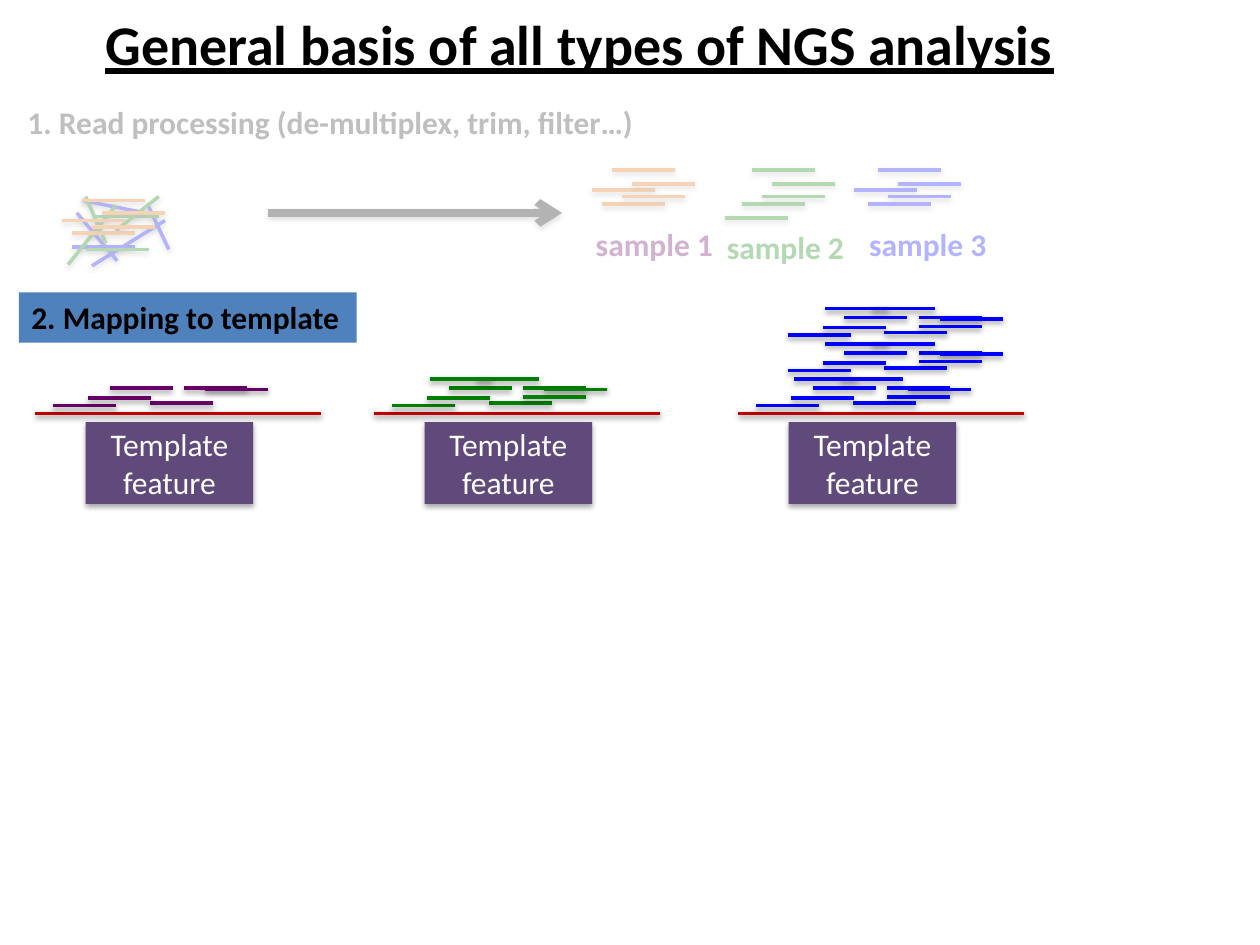
from typing import NamedTuple

from lxml.etree import SubElement
from pptx import Presentation
from pptx.dml.color import RGBColor
from pptx.enum.shapes import MSO_CONNECTOR, MSO_SHAPE
from pptx.enum.text import MSO_ANCHOR, PP_ALIGN
from pptx.oxml.ns import qn
from pptx.util import Inches, Pt

COLORS = {
    "black": "000000", "white": "FFFFFF", "grey": "BFBFBF",
    "orange": "E46C0A", "purple": "660066", "green": "008000",
    "blue": "0000FF", "red": "BE0204", "feature": "604A7B", "heading": "4F81BD",
}
FONT = "Calibri"
READ_LENGTH = 0.5
TEMPLATE_LENGTH = 2.27
TEMPLATE_TOP = 3.28


class Sample(NamedTuple):
    label: str
    label_at: tuple[float, float]
    label_color: str
    read_color: str
    outer_read: tuple[float, float]
    cluster_left: float


class Template(NamedTuple):
    left: float
    color: str
    reads: int
    stacks: int


class Tangle(NamedTuple):
    color: str
    lines: list[tuple[float, float, float, float]]


SAMPLES = [
    Sample("sample 3", (6.8, 1.74), "blue", "blue", (6.78, 1.51), 6.89),
    Sample("sample 2", (5.67, 1.76), "green", "green", (5.75, 1.73), 5.89),
    Sample("sample 1", (4.63, 1.74), "purple", "orange", (4.7, 1.51), 4.78),
]
# Offset from the cluster's left edge, height on the slide
CLUSTER_READS = [(0, 1.62), (0.16, 1.56), (0.08, 1.35), (0.24, 1.46)]

TEMPLATES = [
    Template(0.28, "purple", 6, 1),
    Template(2.97, "green", 9, 1),
    Template(5.86, "blue", 9, 3),
]
# Offset from the template's left end, height above the template
MAPPED_READS = [
    (0.91, 0.08), (0.14, 0.06), (0.42, 0.12), (1.18, 0.2), (0.59, 0.2),
    (1.35, 0.19), (1.18, 0.13), (0.81, 0.27), (0.44, 0.27),
]
STACK_SHIFT = 0.25
STACK_STEP = 0.28

TANGLES = [
    Tangle("blue", [
        (1.17, 1.62, 1.34, 1.98), (0.57, 1.96, 1.07, 1.96), (0.73, 2.11, 1.31, 1.75),
        (0.65, 1.59, 1.15, 1.69), (0.61, 1.69, 0.93, 2.07)]),
    Tangle("green", [
        (0.54, 2.1, 0.92, 1.63), (0.68, 1.98, 1.18, 1.98), (0.84, 1.93, 0.68, 1.56),
        (0.76, 1.72, 1.26, 1.72), (0.92, 1.83, 1.26, 1.56)]),
    Tangle("orange", [
        (left, top, left + READ_LENGTH, top) for left, top in
        [(0.49, 1.75), (0.57, 1.85), (0.73, 1.8), (0.65, 1.59), (0.81, 1.69)]]),
]


def rgb(name: str) -> RGBColor:
    return RGBColor.from_string(COLORS[name])


def add_shadow(effects, distance: int, opacity: int) -> None:
    shadow = SubElement(effects, qn("a:outerShdw"), blurRad="40000", dist=str(distance),
                        dir="5400000", rotWithShape="0")
    color = SubElement(shadow, qn("a:srgbClr"), val=COLORS["black"])
    SubElement(color, qn("a:alpha"), val=str(opacity * 1000))


def add_line(slide, x1: float, y1: float, x2: float, y2: float, color: str,
             width: float = 2, arrow: bool = False) -> None:
    line = slide.shapes.add_connector(
        MSO_CONNECTOR.STRAIGHT, Inches(x1), Inches(y1), Inches(x2), Inches(y2))
    line.line.color.rgb = rgb(color)
    line.line.width = Pt(width)
    properties = line._element.spPr
    if arrow:
        SubElement(properties.find(qn("a:ln")), qn("a:tailEnd"), type="arrow")
    add_shadow(SubElement(properties, qn("a:effectLst")), 20000, 38)


def add_read(slide, left: float, top: float, color: str) -> None:
    add_line(slide, left, top, left + READ_LENGTH, top, color)


def add_rectangle(slide, left: float, top: float, width: float, height: float, color: str):
    shape = slide.shapes.add_shape(
        MSO_SHAPE.RECTANGLE, Inches(left), Inches(top), Inches(width), Inches(height))
    shape.shadow.inherit = False
    shape.fill.solid()
    shape.fill.fore_color.rgb = rgb(color)
    shape.line.fill.background()
    return shape


def write(shape, text: str, color: str, size: float = 18, bold: bool = True,
          underline: bool = False, wrap: bool = False,
          align: PP_ALIGN = PP_ALIGN.LEFT, anchor: MSO_ANCHOR = MSO_ANCHOR.TOP) -> None:
    frame = shape.text_frame
    frame.word_wrap = wrap
    frame.vertical_anchor = anchor
    paragraph = frame.paragraphs[0]
    paragraph.alignment = align
    run = paragraph.add_run()
    run.text = text
    run.font.name = FONT
    run.font.size = Pt(size)
    run.font.bold = bold
    run.font.underline = underline
    run.font.color.rgb = rgb(color)


def add_text(slide, text: str, left: float, top: float, width: float, height: float,
             color: str, **text_format) -> None:
    box = slide.shapes.add_textbox(Inches(left), Inches(top), Inches(width), Inches(height))
    write(box, text, color, **text_format)


def draw_sample(slide, sample: Sample) -> None:
    add_read(slide, *sample.outer_read, sample.read_color)
    for offset, top in CLUSTER_READS:
        add_read(slide, sample.cluster_left + offset, top, sample.read_color)
    add_text(slide, sample.label, *sample.label_at, 1.14, 0.4, sample.label_color)


def draw_template(slide, template: Template) -> None:
    add_line(slide, template.left, TEMPLATE_TOP,
             template.left + TEMPLATE_LENGTH, TEMPLATE_TOP, "red")
    feature = add_rectangle(slide, template.left + 0.4, 3.35, 1.33, 0.65, "feature")
    add_shadow(feature._element.spPr.find(qn("a:effectLst")), 23000, 35)
    write(feature, "Template feature", "white", bold=False, wrap=True,
          align=PP_ALIGN.CENTER, anchor=MSO_ANCHOR.MIDDLE)
    for stack in range(template.stacks):
        left = template.left + (STACK_SHIFT if stack else 0)
        base = TEMPLATE_TOP - stack * STACK_STEP
        for offset, height in MAPPED_READS[:template.reads]:
            add_read(slide, left + offset, base - height, template.color)


def main() -> None:
    presentation = Presentation()
    presentation.slide_width = Inches(10)
    presentation.slide_height = Inches(7.5)
    slide = presentation.slides.add_slide(presentation.slide_layouts[6])

    # Title
    add_text(slide, "General basis of all types of NGS analysis", -0.02, 0, 9.24, 0.68,
             "black", size=32, underline=True, wrap=True,
             align=PP_ALIGN.CENTER, anchor=MSO_ANCHOR.MIDDLE)

    # Sorted reads and mapped reads
    for sample in SAMPLES:
        draw_sample(slide, sample)
    for template in TEMPLATES:
        draw_template(slide, template)
    heading = add_rectangle(slide, 0.15, 2.32, 2.68, 0.4, "heading")
    write(heading, "2. Mapping to template", "black")

    # Mixed reads and the arrow to the samples
    for tangle in TANGLES:
        for ends in tangle.lines:
            add_line(slide, *ends, tangle.color)
    add_text(slide, "1. Read processing (de-multiplex, trim, filter…)",
             0.12, 0.77, 5.07, 0.4, "grey")
    add_line(slide, 2.13, 1.69, 4.46, 1.69, "black", width=4.5, arrow=True)

    # Translucent veil that fades the first step
    veil = add_rectangle(slide, 0.12, 1.18, 8.01, 0.98, "white")
    veil_color = veil._element.spPr.find(qn("a:solidFill")).find(qn("a:srgbClr"))
    SubElement(veil_color, qn("a:alpha"), val="70000")

    presentation.save("out.pptx")


if __name__ == "__main__":
    main()
